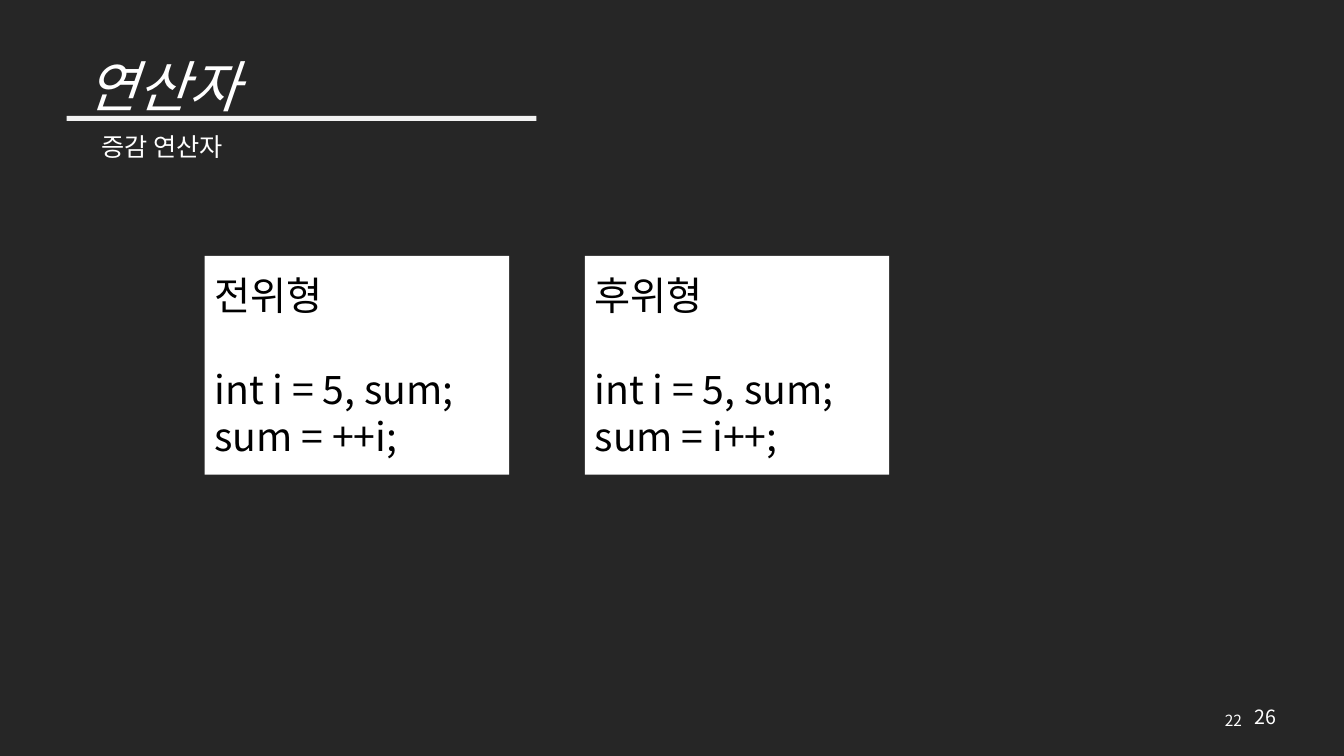
from lxml import etree
from pptx import Presentation
from pptx.dml.color import RGBColor
from pptx.enum.shapes import MSO_SHAPE
from pptx.enum.text import MSO_ANCHOR, MSO_AUTO_SIZE, PP_ALIGN
from pptx.oxml.ns import qn
from pptx.util import Cm, Pt

RECT = MSO_SHAPE.RECTANGLE
TOP, MIDDLE = MSO_ANCHOR.TOP, MSO_ANCHOR.MIDDLE
LEFT, CENTER, RIGHT = PP_ALIGN.LEFT, PP_ALIGN.CENTER, PP_ALIGN.RIGHT
NO_FIT = MSO_AUTO_SIZE.NONE
TITLE_ONLY = 5

COLORS = {"back": "262626", "bar": "F2F2F2", "white": "FFFFFF", "black": "000000"}
NOTO = "Noto Sans CJK KR"


def color(name):
    return RGBColor.from_string(COLORS[name])


def style(para, size, ink, face=NOTO, align=LEFT):
    para.alignment = align
    font = para.font
    font.size, font.name = Pt(size), face
    font.color.rgb = color(ink)
    # Hangul takes the East Asian face
    props = para._p.get_or_add_pPr().get_or_add_defRPr()
    etree.SubElement(props, qn("a:ea")).set("typeface", NOTO)


def place(shape, left, top, width, height):
    shape.left, shape.top = Cm(left), Cm(top)
    shape.width, shape.height = Cm(width), Cm(height)


def add_title(slide, text):
    title = slide.shapes.title
    place(title, 1.68, 1.45, 4.85, 1.6)
    frame = title.text_frame
    frame.auto_size, frame.vertical_anchor = NO_FIT, MIDDLE
    frame.text = text
    para = frame.paragraphs[0]
    style(para, 39.6, "white", align=CENTER)
    para.font.italic = True
    para.line_spacing = 0.9


def add_label(slide, text, area, size, face=NOTO, align=LEFT, anchor=TOP, wrap=True):
    frame = slide.shapes.add_textbox(*map(Cm, area)).text_frame
    frame.word_wrap, frame.vertical_anchor = wrap, anchor
    frame.text = text
    style(frame.paragraphs[0], size, "white", face, align)


def add_rect(slide, area, fill):
    rect = slide.shapes.add_shape(RECT, *map(Cm, area))
    rect.shadow.inherit = False
    rect.fill.solid()
    rect.fill.fore_color.rgb = color(fill)
    rect.line.fill.background()
    return rect


def add_code(slide, left, lines):
    frame = add_rect(slide, (left, 6.45, 7.67, 5.51), "white").text_frame
    frame.word_wrap, frame.vertical_anchor = True, MIDDLE
    frame.text = "\n".join(lines)
    for para in frame.paragraphs:
        style(para, 28, "black")
    # One line of space below the heading
    frame.paragraphs[1].space_before = Pt(34)


def main():
    deck = Presentation()
    deck.slide_width, deck.slide_height = Cm(33.87), Cm(19.05)
    slide = deck.slides.add_slide(deck.slide_layouts[TITLE_ONLY])
    slide.background.fill.solid()
    slide.background.fill.fore_color.rgb = color("back")

    # Heading
    add_title(slide, "연산자")
    add_rect(slide, (1.68, 2.92, 11.84, 0.13), "bar")
    add_label(slide, "증감 연산자", (2.31, 3.18, 7.26, 1.02), 18, face="Calibri")

    # Prefix and postfix forms
    forms = [("전위형", "++i"), ("후위형", "i++")]
    for i, (name, term) in enumerate(forms):
        add_code(slide, 5.16 + i * 9.65 - i * 0.07,
                 [name, "int i = 5, sum;", f"sum = {term};"])

    # Page numbers
    add_label(slide, "22", (28.35, 17.65, 3.2, 1.02), 11, align=RIGHT, anchor=MIDDLE)
    add_label(slide, "26", (31.37, 17.65, 1.07, 0.86), 14, wrap=False)

    deck.save("out.pptx")


if __name__ == "__main__":
    main()
